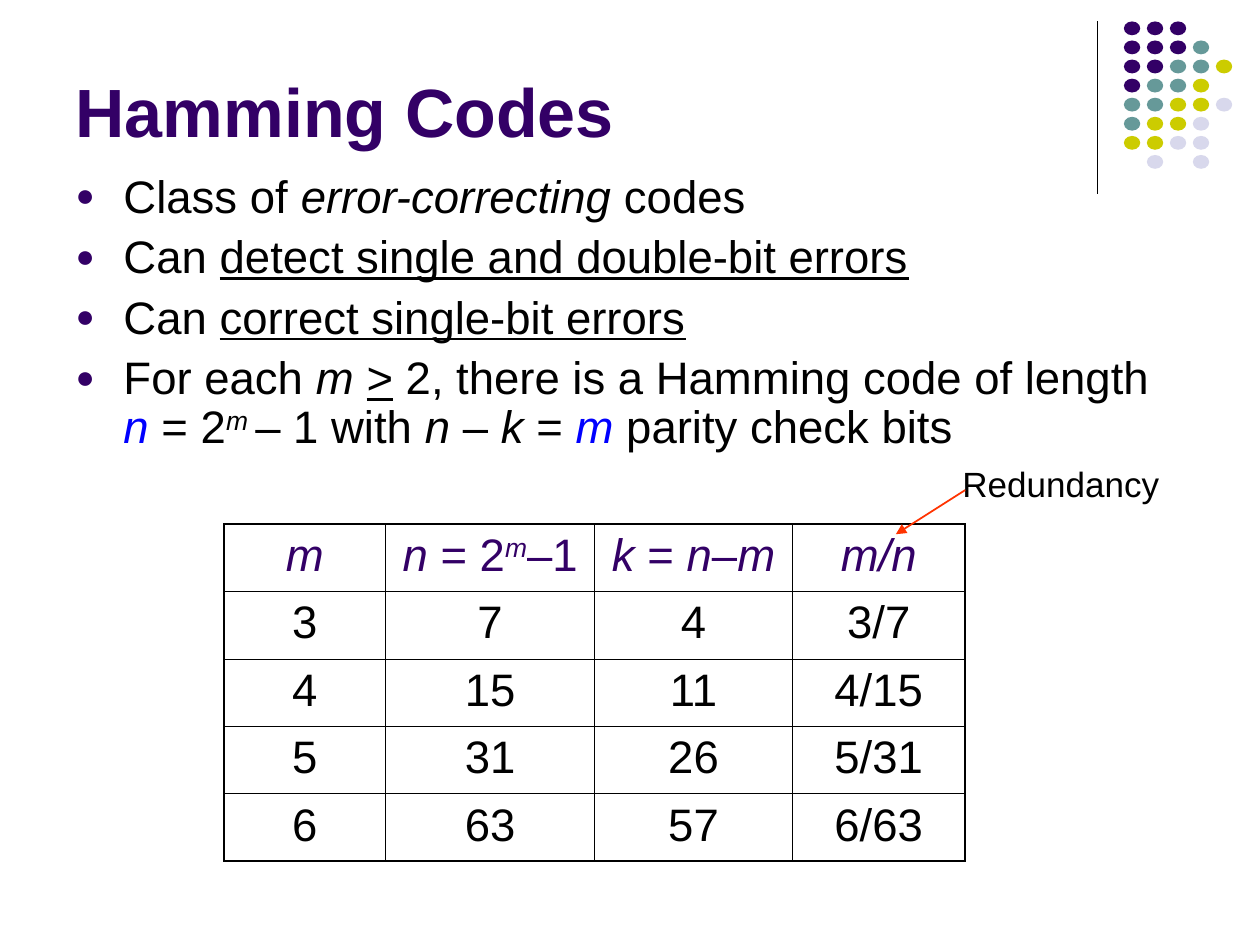
"""Build the Hamming Codes slide with its bullets, parameter table and redundancy label."""
from lxml import etree
from pptx import Presentation
from pptx import util as u
from pptx.dml import color
from pptx.enum import shapes, text
from pptx.oxml import ns

COLORS = {"purple": "330066", "teal": "669999", "olive": "CCCC00", "mist": "D8D8EC",
          "black": "000000", "blue": "0000FF", "red": "FF3300"}
STYLES = {"i": {"italic": True}, "u": {"underline": True}, "b": {"bold": True}}
BULLETS = [
    [("Class of ", ""), ("error-correcting", "i"), (" codes", "")],
    [("Can ", ""), ("detect single and double-bit errors", "u")],
    [("Can ", ""), ("correct single-bit errors", "u")],
    [("For each ", ""), ("m ", "i"), (">", "u"), (" 2, there is a Hamming code of length ", ""),
     ("n ", "i*"), ("= 2", ""), ("m ", "i^"), ("– 1 with ", ""), ("n ", "i"), ("– ", ""),
     ("k", "i"), (" = ", ""), ("m", "i*"), (" parity check bits", "")],
]
HEADINGS = [
    [("m", "i")],
    [("n ", "i"), ("= 2", ""), ("m", "i^"), ("–1", "")],
    [("k ", "i"), ("= ", ""), ("n", "i"), ("–", ""), ("m", "i")],
    [("m/n", "i")],
]
DOT_ROWS = ["PPP", "PPPT", "PPTTY", "PTTY", "TTYYL", "TYYL", "YYLL", " L L"]
DOT_COLORS = {"P": "purple", "T": "teal", "Y": "olive", "L": "mist"}


def add_runs(paragraph, runs, size, tint):
    for wording, marks in runs:
        run = paragraph.add_run()
        run.text = wording
        formats = {"name": "Arial", "size": u.Pt(size)}
        for mark in marks:
            formats.update(STYLES.get(mark, {}))
        for name, value in formats.items():
            setattr(run.font, name, value)
        run.font.color.rgb = color.RGBColor.from_string(COLORS["blue" if "*" in marks else tint])
        if "^" in marks:
            run._r.get_or_add_rPr().set("baseline", "30000")


def add_line(start, end, tint, width):
    line = slide.shapes.add_connector(
        shapes.MSO_CONNECTOR.STRAIGHT, *(u.Inches(v) for v in start + end))
    line.line.color.rgb = color.RGBColor.from_string(COLORS[tint])
    line.line.width = u.Pt(width)
    etree.SubElement(line._element.spPr, ns.qn("a:effectLst"))
    return line


deck = Presentation()
deck.slide_width, deck.slide_height = u.Inches(10), u.Inches(7.5)
slide = deck.slides.add_slide(deck.slide_layouts[1])

heading, points = slide.placeholders
for holder, box, anchor in [
    (heading, (0.5, 0.13, 8.25, 1.12), text.MSO_ANCHOR.BOTTOM),
    (points, (0.5, 1.33, 9.3, 2.37), text.MSO_ANCHOR.TOP),
]:
    for name, value in zip(("left", "top", "width", "height"), box):
        setattr(holder, name, u.Inches(value))
    for name, value in {"vertical_anchor": anchor, "word_wrap": True,
                        "auto_size": text.MSO_AUTO_SIZE.NONE}.items():
        setattr(holder.text_frame, name, value)

title_line = heading.text_frame.paragraphs[0]
title_line.alignment = text.PP_ALIGN.LEFT
add_runs(title_line, [("Hamming Codes", "b")], 39, "purple")

points.text_frame.margin_right = u.Inches(0.5)
for index, runs in enumerate(BULLETS):
    point = points.text_frame.add_paragraph() if index else points.text_frame.paragraphs[0]
    for name, value in {"line_spacing": 0.9, "space_before": u.Pt(6.5)}.items():
        setattr(point, name, value)
    add_runs(point, runs, 26, "black")
    layout = point._p.get_or_add_pPr()
    layout.set("marL", str(u.Inches(0.38)))
    layout.set("indent", str(u.Inches(-0.38)))
    bullet_color = etree.SubElement(layout, ns.qn("a:buClr"))
    etree.SubElement(bullet_color, ns.qn("a:srgbClr"), val=COLORS["purple"])
    etree.SubElement(layout, ns.qn("a:buSzPct"), val="70000")
    etree.SubElement(layout, ns.qn("a:buFont"), typeface="Arial")
    etree.SubElement(layout, ns.qn("a:buChar"), char="●")

add_line((8.71, 0.17), (8.71, 1.54), "black", 0.75)
dots = slide.shapes.add_group_shape()
for row, letters in enumerate(DOT_ROWS):
    for column, letter in enumerate(letters):
        if letter in DOT_COLORS:
            dot = dots.shapes.add_shape(
                shapes.MSO_SHAPE.OVAL, u.Inches(8.92 + column * 0.73 / 4),
                u.Inches(0.17 + row * 1.06 / 7), u.Inches(0.13), u.Inches(0.11))
            dot.shadow.inherit = False
            dot.fill.solid()
            dot.fill.fore_color.rgb = color.RGBColor.from_string(COLORS[DOT_COLORS[letter]])
            dot.line.fill.background()

codes = [(m, 2 ** m - 1) for m in range(3, 7)]
rows = [HEADINGS] + [
    [[(str(value), "")] for value in (m, n, n - m, f"{m}/{n}")] for m, n in codes]
widths = [1.28, 1.66, 1.57, 1.37]
parameters = slide.shapes.add_table(
    len(rows), len(widths), u.Inches(1.78), u.Inches(4.16),
    u.Inches(sum(widths)), u.Inches(0.535 * len(rows))).table
parameters.first_row = parameters.horz_banding = False
for column, width in zip(parameters.columns, widths):
    column.width = u.Inches(width)
for row, entries in enumerate(rows):
    for column, runs in enumerate(entries):
        cell = parameters.cell(row, column)
        entry = cell.text_frame.paragraphs[0]
        for name, value in {"alignment": text.PP_ALIGN.CENTER, "space_before": u.Pt(6.5)}.items():
            setattr(entry, name, value)
        add_runs(entry, runs, 26, "black" if row else "purple")
        outer = {"lnL": column == 0, "lnR": column == len(widths) - 1,
                 "lnT": row == 0, "lnB": row == len(rows) - 1}
        for side, is_outer in outer.items():
            border = etree.SubElement(cell._tc.get_or_add_tcPr(), ns.qn(f"a:{side}"),
                                      w=str(u.Pt(1.08 if is_outer else 0.45)))
            paint = etree.SubElement(border, ns.qn("a:solidFill"))
            etree.SubElement(paint, ns.qn("a:srgbClr"), val=COLORS["black"])
        cell.fill.background()

redundancy = slide.shapes.add_textbox(
    u.Inches(7.54), u.Inches(3.62), u.Inches(1.76), u.Inches(0.44)).text_frame
for name, value in {"word_wrap": False, "auto_size": text.MSO_AUTO_SIZE.SHAPE_TO_FIT_TEXT}.items():
    setattr(redundancy, name, value)
redundancy.paragraphs[0].alignment = text.PP_ALIGN.CENTER
add_runs(redundancy.paragraphs[0], [("Redundancy", "")], 20, "black")

pointer = add_line((7.66, 3.89), (7.11, 4.24), "red", 1)
etree.SubElement(pointer.line._get_or_add_ln(), ns.qn("a:tailEnd"), type="triangle")

deck.save("out.pptx")
